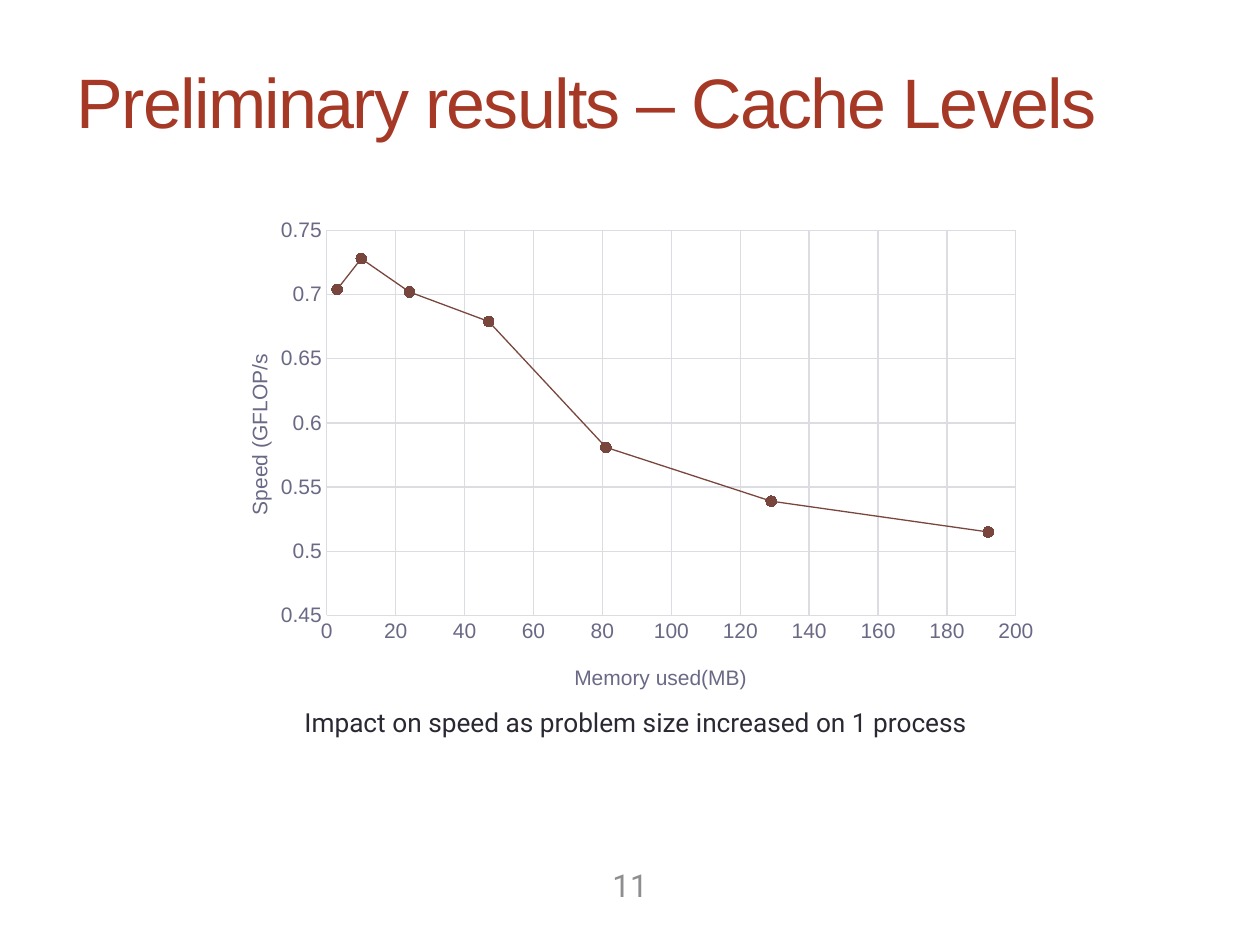
from dataclasses import dataclass
from typing import Any

from lxml import etree
from pptx import Presentation
from pptx import util as u
from pptx.chart import data as chart_data
from pptx.dml import color
from pptx.enum import chart as chart_enum
from pptx.enum import text
from pptx.oxml import ns

MEMORY_MB = [3, 10, 24, 47, 81, 129, 192]
SPEED_GFLOPS = [0.704, 0.728, 0.702, 0.679, 0.581, 0.539, 0.515]
INK, MUTED, GRID = "292934", "696986", "DCDCE3"
LINE, MARKER = "79463D", "7F3B2F"


@dataclass
class Label:
    words: str
    box: tuple[float, float, float, float]
    font: str
    size: float
    fill: str
    align: text.PP_ALIGN
    anchor: text.MSO_ANCHOR


@dataclass
class Scale:
    title: str
    low: float
    high: float
    step: float
    title_layout: dict[str, float]


TITLE = Label("Preliminary results – Cache Levels", (0.51, 0.36, 9, 0.87),
              "Arial", 40, "A53926", text.PP_ALIGN.LEFT, text.MSO_ANCHOR.MIDDLE)
LABELS = [
    Label("11", (4.53, 6.82, 0.71, 0.4), "Roboto", 18, "8E8E90",
          text.PP_ALIGN.RIGHT, text.MSO_ANCHOR.MIDDLE),
    Label("Impact on speed as problem size increased on 1 process",
          (1.65, 5.56, 6.79, 0.35), "Roboto", 15, INK,
          text.PP_ALIGN.CENTER, text.MSO_ANCHOR.TOP),
]
MEMORY_SCALE = Scale("Memory used(MB)", 0, 200, 20, {"x": 0.43, "y": 0.9})
SPEED_SCALE = Scale("Speed (GFLOP/s", 0.45, 0.75, 0.05, {"x": 0.04, "y": 0.28})


def rgb(value: str) -> color.RGBColor:
    return color.RGBColor.from_string(value)


def apply(target: Any, values: dict[str, Any]) -> None:
    for name, value in values.items():
        setattr(target, name, value)


def style_font(font: Any, name: str, size: float, fill: str) -> None:
    apply(font, {"name": name, "size": u.Pt(size), "bold": False})
    font.color.rgb = rgb(fill)


def style_line(line: Any, fill: str) -> None:
    line.color.rgb = rgb(fill)
    line.width = u.Pt(0.75)


def write_label(shape: Any, label: Label) -> Any:
    left, top, width, height = map(u.Inches, label.box)
    apply(shape, {"left": left, "top": top, "width": width, "height": height})
    frame = shape.text_frame
    apply(frame, {"word_wrap": True, "auto_size": text.MSO_AUTO_SIZE.NONE,
                  "vertical_anchor": label.anchor})
    para = frame.paragraphs[0]
    para.alignment = label.align
    span = para.add_run()
    span.text = label.words
    style_font(span.font, label.font, label.size, label.fill)
    return span


def set_layout(owner: Any, fractions: dict[str, float], inner: bool = False) -> None:
    layout = owner.find(ns.qn("c:layout"))
    if layout is None:
        layout = etree.Element(ns.qn("c:layout"))
        owner.insert(0, layout)
    manual = etree.SubElement(layout, ns.qn("c:manualLayout"))
    settings = {"layoutTarget": "inner"} if inner else {}
    settings |= {"xMode": "edge", "yMode": "edge"}
    settings |= {name: str(value) for name, value in fractions.items()}
    for name, value in settings.items():
        etree.SubElement(manual, ns.qn(f"c:{name}")).set("val", value)


def format_axis(axis: Any, scale: Scale) -> None:
    apply(axis, {"minimum_scale": scale.low, "maximum_scale": scale.high,
                 "major_unit": scale.step, "has_major_gridlines": True,
                 "major_tick_mark": chart_enum.XL_TICK_MARK.NONE,
                 "minor_tick_mark": chart_enum.XL_TICK_MARK.NONE})
    style_line(axis.major_gridlines.format.line, GRID)
    axis.format.line.fill.background()
    style_font(axis.tick_labels.font, "Arial", 12, MUTED)
    frame = axis.axis_title.text_frame
    frame.text = scale.title
    style_font(frame.paragraphs[0].runs[0].font, "Arial", 12, MUTED)
    set_layout(axis.axis_title._element, scale.title_layout)


def add_speed_chart(page: Any) -> None:
    points = chart_data.XyChartData()
    series_data = points.add_series("Series 1")
    for memory, speed in zip(MEMORY_MB, SPEED_GFLOPS):
        series_data.add_data_point(memory, speed)
    chart = page.shapes.add_chart(
        chart_enum.XL_CHART_TYPE.XY_SCATTER_LINES, u.Inches(1.66), u.Inches(1.67),
        u.Inches(6.67), u.Inches(3.97), points).chart
    apply(chart, {"has_legend": False, "has_title": False})
    style_font(chart.font, "Arial", 10, INK)
    format_axis(chart.category_axis, MEMORY_SCALE)
    format_axis(chart.value_axis, SPEED_SCALE)

    plot = chart.plots[0]
    plot.vary_by_categories = False
    set_layout(plot._element.getparent(),
               {"x": 0.14, "y": 0.04, "w": 0.82, "h": 0.77}, inner=True)
    series = plot.series[0]
    series.smooth = False
    style_line(series.format.line, LINE)
    marker = series.marker
    apply(marker, {"style": chart_enum.XL_MARKER_STYLE.CIRCLE, "size": 6})
    marker.format.fill.solid()
    marker.format.fill.fore_color.rgb = rgb(MARKER)
    style_line(marker.format.line, LINE)


def main() -> None:
    deck = Presentation()
    apply(deck, {"slide_width": u.Inches(10), "slide_height": u.Inches(7.5)})
    page = deck.slides.add_slide(deck.slide_layouts[5])
    heading = write_label(page.shapes.title, TITLE)
    heading.font._element.set("spc", "-100")
    add_speed_chart(page)
    for label in LABELS:
        box = page.shapes.add_textbox(*map(u.Inches, label.box))
        write_label(box, label)
    deck.save("out.pptx")


if __name__ == "__main__":
    main()
